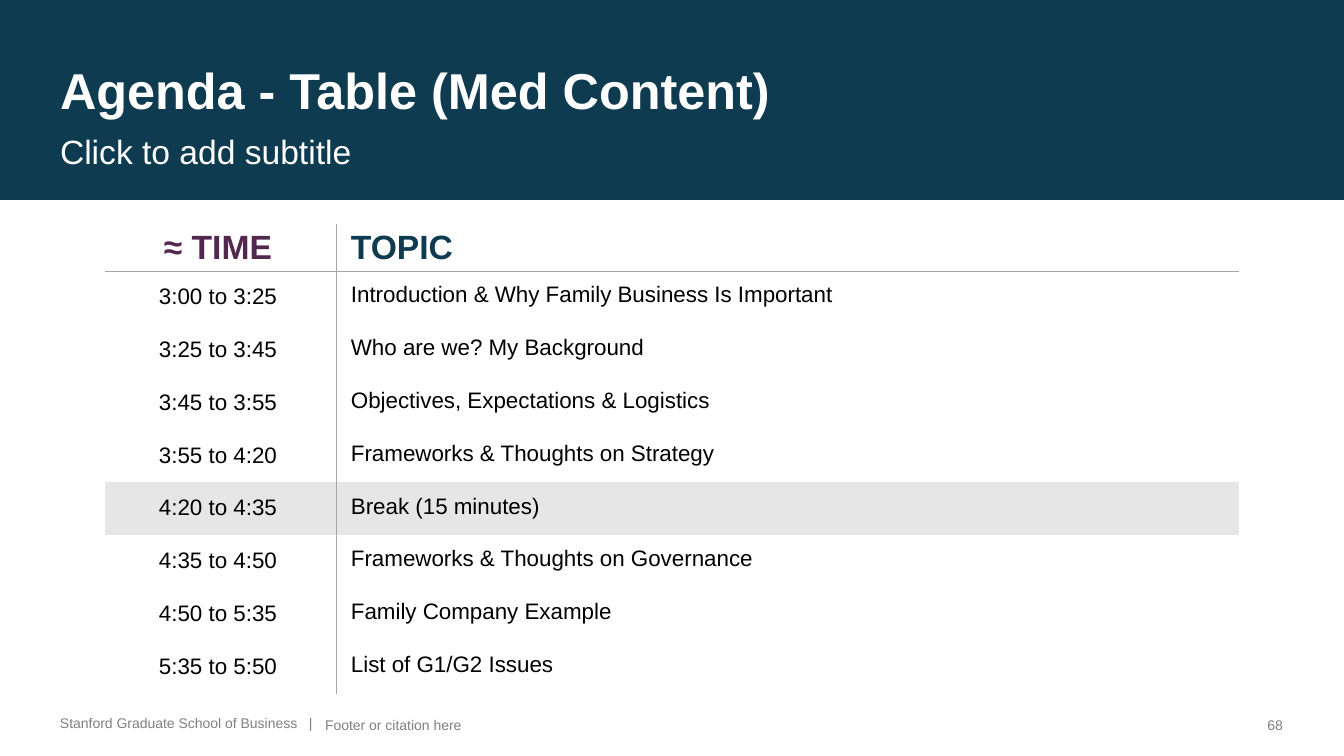
from dataclasses import dataclass
from typing import Optional

import lxml.etree
import pptx
import pptx.dml.color
import pptx.enum.text
import pptx.oxml.ns
import pptx.util

RGBColor = pptx.dml.color.RGBColor
Align = pptx.enum.text.PP_ALIGN
Anchor = pptx.enum.text.MSO_ANCHOR

EMU_PER_PX = 12192000 / 1344
FONT = "Arial"
NAVY = RGBColor(0x0E, 0x3B, 0x50)
PLUM = RGBColor(0x53, 0x28, 0x4F)
WHITE = RGBColor(0xFF, 0xFF, 0xFF)
BLACK = RGBColor(0x00, 0x00, 0x00)
GRAY = RGBColor(0x80, 0x80, 0x80)
RULE = RGBColor(0xA6, 0xA6, 0xA6)
BREAK_FILL = RGBColor(0xE6, 0xE6, 0xE6)


@dataclass(frozen=True)
class TextStyle:
    size: int
    color: RGBColor
    bold: bool = False
    align: Align = Align.LEFT
    line_spacing: float = 1.0


@dataclass(frozen=True)
class Box:
    left: int
    top: int
    width: int
    height: int


@dataclass(frozen=True)
class Insets:
    left: int = 10
    top: int = 5
    right: int = 10
    bottom: int = 5


@dataclass(frozen=True)
class FooterItem:
    text: str
    box: Box
    align: Align = Align.LEFT
    wrap: bool = False


@dataclass(frozen=True)
class AgendaItem:
    time: str
    topic: str
    is_break: bool = False


AGENDA = [
    AgendaItem("3:00 to 3:25", "Introduction & Why Family Business Is Important"),
    AgendaItem("3:25 to 3:45", "Who are we? My Background"),
    AgendaItem("3:45 to 3:55", "Objectives, Expectations & Logistics"),
    AgendaItem("3:55 to 4:20", "Frameworks & Thoughts on Strategy"),
    AgendaItem("4:20 to 4:35", "Break (15 minutes)", is_break=True),
    AgendaItem("4:35 to 4:50", "Frameworks & Thoughts on Governance"),
    AgendaItem("4:50 to 5:35", "Family Company Example"),
    AgendaItem("5:35 to 5:50", "List of G1/G2 Issues"),
]
FOOTER = [
    FooterItem("Stanford Graduate School of Business   |", Box(50, 709, 274, 27)),
    FooterItem("Footer or citation here", Box(315, 709, 924, 29), wrap=True),
    FooterItem("68", Box(1254, 709, 39, 29), Align.RIGHT),
]
TABLE_BOX = Box(105, 224, 1134, 470)
TIME_WIDTH = 231
HEADER_HEIGHT = 47


def px(value: float) -> pptx.util.Emu:
    return pptx.util.Emu(round(value * EMU_PER_PX))


def place(shape, box: Box) -> None:
    shape.left, shape.top = px(box.left), px(box.top)
    shape.width, shape.height = px(box.width), px(box.height)


def set_insets(target, insets: Insets) -> None:
    target.margin_left, target.margin_top = px(insets.left), px(insets.top)
    target.margin_right, target.margin_bottom = px(insets.right), px(insets.bottom)


def write(text_frame, text: str, style: TextStyle) -> None:
    text_frame.text = text
    paragraph = text_frame.paragraphs[0]
    paragraph.alignment = style.align
    paragraph.line_spacing = style.line_spacing
    paragraph.space_before = pptx.util.Pt(0)
    font = paragraph.runs[0].font
    font.name, font.size, font.bold = FONT, pptx.util.Pt(style.size), style.bold
    font.color.rgb = style.color


def fill_placeholder(shape, text: str, box: Box, insets: Insets, style: TextStyle) -> None:
    place(shape, box)
    text_frame = shape.text_frame
    text_frame.auto_size = pptx.enum.text.MSO_AUTO_SIZE.NONE
    text_frame.word_wrap = True
    text_frame.vertical_anchor = Anchor.TOP
    set_insets(text_frame, insets)
    write(text_frame, text, style)


def set_borders(cell, ruled_sides: str) -> None:
    """Rule the given sides (letters from LRTB) and clear the others."""
    properties = cell._tc.get_or_add_tcPr()
    qn = pptx.oxml.ns.qn
    for side in "LRTB":
        line = lxml.etree.SubElement(properties, qn(f"a:ln{side}"), w="6350")
        if side in ruled_sides:
            fill = lxml.etree.SubElement(line, qn("a:solidFill"))
            lxml.etree.SubElement(fill, qn("a:srgbClr"), val=str(RULE))
        else:
            lxml.etree.SubElement(line, qn("a:noFill"))


def format_cell(cell, text: str, style: TextStyle, insets: Insets,
                ruled_sides: str, fill: Optional[RGBColor]) -> None:
    write(cell.text_frame, text, style)
    cell.vertical_anchor = Anchor.MIDDLE
    set_insets(cell, insets)
    set_borders(cell, ruled_sides)
    if fill is None:
        cell.fill.background()
    else:
        cell.fill.solid()
        cell.fill.fore_color.rgb = fill


def add_agenda(slide) -> None:
    box = TABLE_BOX
    table = slide.shapes.add_table(len(AGENDA) + 1, 2, px(box.left), px(box.top),
                                   px(box.width), px(box.height)).table
    table.first_row = table.horz_banding = False
    table.columns[0].width = px(TIME_WIDTH)
    table.columns[1].width = px(box.width - TIME_WIDTH)

    row_height = (box.height - HEADER_HEIGHT) / len(AGENDA)
    time_style = TextStyle(16, BLACK, align=Align.CENTER, line_spacing=1.15)
    topic_style = TextStyle(16, BLACK)
    time_header = TextStyle(24, PLUM, bold=True, align=Align.CENTER)
    topic_header = TextStyle(24, NAVY, bold=True)

    for index, item in enumerate([AgendaItem("≈ TIME", "TOPIC"), *AGENDA]):
        header = index == 0
        table.rows[index].height = px(HEADER_HEIGHT if header else row_height)
        bottom = 0 if header else 5
        horizontal = {0: "B", 1: "T"}.get(index, "")
        fill = BREAK_FILL if item.is_break else None
        format_cell(table.cell(index, 0), item.time, time_header if header else time_style,
                    Insets(10, 0, 15, bottom), "R" + horizontal, fill)
        format_cell(table.cell(index, 1), item.topic, topic_header if header else topic_style,
                    Insets(15, 0, 10, bottom), "L" + horizontal, fill)


def add_footer_item(slide, item: FooterItem) -> None:
    box = item.box
    text_frame = slide.shapes.add_textbox(px(box.left), px(box.top),
                                          px(box.width), px(box.height)).text_frame
    text_frame.word_wrap = item.wrap
    text_frame.vertical_anchor = Anchor.BOTTOM
    set_insets(text_frame, Insets())
    write(text_frame, item.text, TextStyle(10, GRAY, align=item.align))


def main() -> None:
    presentation = pptx.Presentation()
    presentation.slide_width, presentation.slide_height = px(1344), px(756)
    slide = presentation.slides.add_slide(presentation.slide_layouts[0])

    # Title band and subtitle
    title = slide.shapes.title
    title.fill.solid()
    title.fill.fore_color.rgb = NAVY
    fill_placeholder(title, "Agenda - Table (Med Content)", Box(0, -2, 1344, 202),
                     Insets(60, 61, 60, 5), TextStyle(36, WHITE, bold=True))
    fill_placeholder(slide.placeholders[1], "Click to add subtitle", Box(50, 123, 1243, 57),
                     Insets(top=8), TextStyle(24, WHITE))

    # Agenda table
    add_agenda(slide)

    # Footer
    for item in FOOTER:
        add_footer_item(slide, item)

    presentation.save("out.pptx")


if __name__ == "__main__":
    main()
